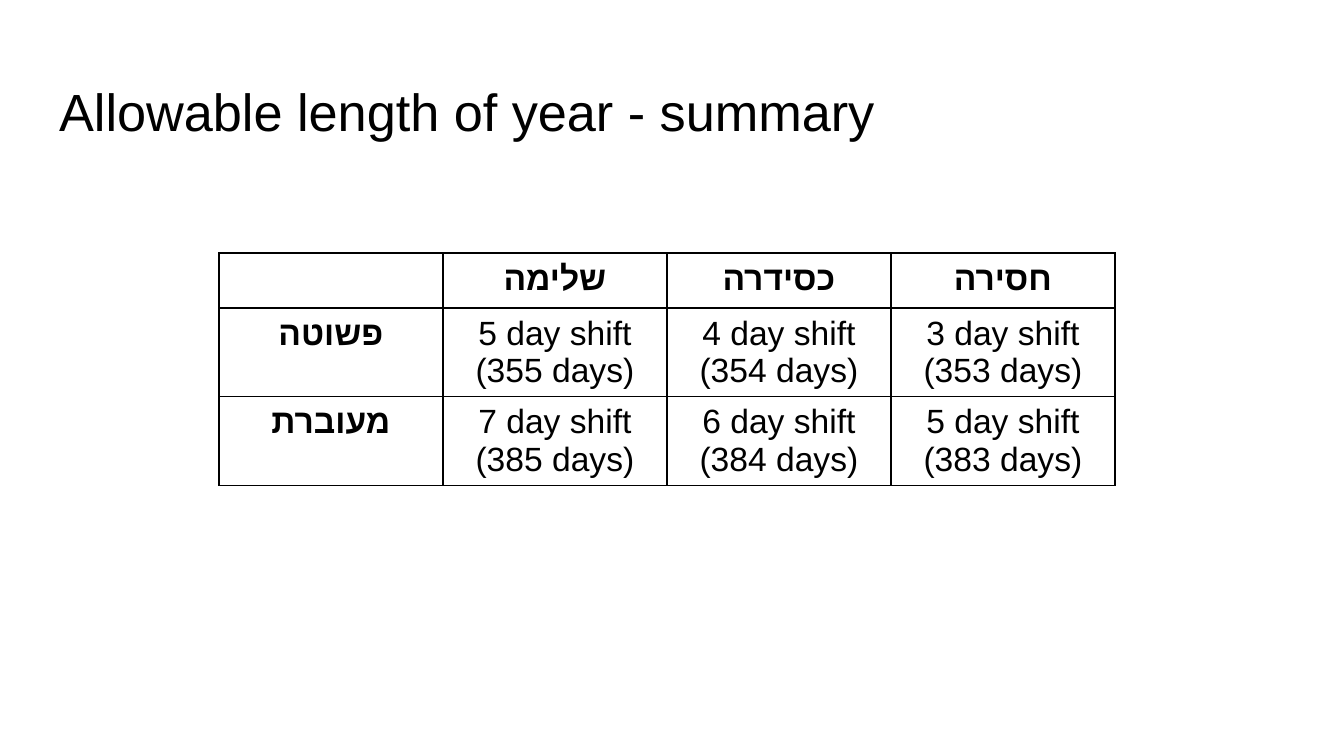
import pptx
import pptx.util
import pptx.dml.color
import pptx.enum.text
import pptx.oxml.ns
import lxml.etree

Pt = pptx.util.Pt
RGBColor = pptx.dml.color.RGBColor
PP_ALIGN = pptx.enum.text.PP_ALIGN
MSO_ANCHOR = pptx.enum.text.MSO_ANCHOR
qn = pptx.oxml.ns.qn

TITLE = "Allowable length of year - summary"
YEAR_LENGTHS = [
    ["", "שלימה", "כסידרה", "חסירה"],
    ["פשוטה", "5 day shift (355 days)", "4 day shift (354 days)", "3 day shift (353 days)"],
    ["מעוברת", "7 day shift (385 days)", "6 day shift (384 days)", "5 day shift (383 days)"],
]

BLACK = RGBColor(0, 0, 0)
WHITE = RGBColor(255, 255, 255)
FONT = "Arial"
COLUMN_WIDTH = 120
ROW_HEIGHT = 29.5
INSET = 7.2


def style_paragraph(para, size, align, bold=False):
    para.alignment = align
    for span in para.runs:
        span.font.name = FONT
        span.font.size = Pt(size)
        span.font.bold = bold
        span.font.color.rgb = BLACK
        complex_font = lxml.etree.SubElement(span.font._element, qn("a:cs"))
        complex_font.set("typeface", FONT)


def add_borders(cell):
    properties = cell._tc.get_or_add_tcPr()
    for side in ("L", "R", "T", "B"):
        line = lxml.etree.SubElement(properties, qn(f"a:ln{side}"), w=str(Pt(1)))
        fill = lxml.etree.SubElement(line, qn("a:solidFill"))
        lxml.etree.SubElement(fill, qn("a:srgbClr"), val=str(BLACK))


def add_title(page):
    title = page.shapes.title
    title.left, title.top, title.width, title.height = map(Pt, (24.5, 35, 671, 45))
    frame = title.text_frame
    frame.text = TITLE
    frame.vertical_anchor = MSO_ANCHOR.TOP
    frame.margin_left = frame.margin_right = Pt(INSET)
    frame.margin_top = frame.margin_bottom = Pt(INSET)
    style_paragraph(frame.paragraphs[0], 28, PP_ALIGN.LEFT)


def add_year_table(page):
    rows, columns = len(YEAR_LENGTHS), len(YEAR_LENGTHS[0])
    table = page.shapes.add_table(
        rows, columns, Pt(117.3), Pt(135.5),
        Pt(columns * COLUMN_WIDTH), Pt(rows * ROW_HEIGHT),
    ).table
    table.horz_banding = False
    for row, values in enumerate(YEAR_LENGTHS):
        for column, value in enumerate(values):
            cell = table.cell(row, column)
            cell.text = value
            add_borders(cell)
            cell.fill.solid()
            cell.fill.fore_color.rgb = WHITE
            is_heading = row == 0 or column == 0
            style_paragraph(cell.text_frame.paragraphs[0], 18, PP_ALIGN.CENTER, is_heading)


def main():
    deck = pptx.Presentation()
    deck.slide_width, deck.slide_height = Pt(720), Pt(405)
    page = deck.slides.add_slide(deck.slide_layouts[5])
    add_title(page)
    add_year_table(page)
    deck.save("out.pptx")


if __name__ == "__main__":
    main()
